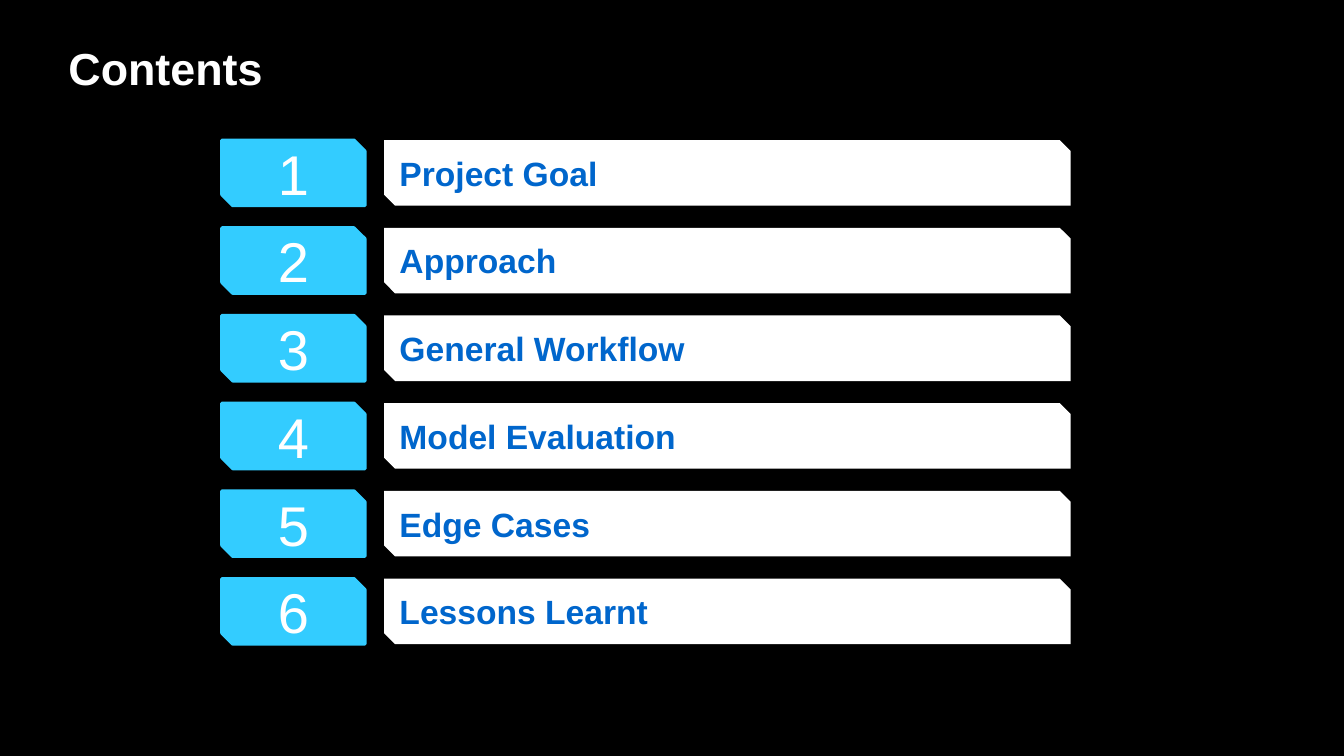
from dataclasses import dataclass

from pptx import Presentation
from pptx.dml.color import RGBColor
from pptx.enum.shapes import MSO_SHAPE
from pptx.enum.text import MSO_ANCHOR, PP_ALIGN
from pptx.util import Inches, Pt

SNIPPED = MSO_SHAPE.SNIP_2_DIAG_RECTANGLE
MIDDLE = MSO_ANCHOR.MIDDLE
LEFT = PP_ALIGN.LEFT
CENTER = PP_ALIGN.CENTER

TOPICS = [
    "Project Goal",
    "Approach",
    "General Workflow",
    "Model Evaluation",
    "Edge Cases",
    "Lessons Learnt",
]
FIRST_ROW_TOP = 1.39
ROW_PITCH = 0.87
ROW_HEIGHT = 0.65


@dataclass(frozen=True)
class Theme:
    font: str = "Arial"
    background: RGBColor = RGBColor.from_string("000000")
    white: RGBColor = RGBColor.from_string("FFFFFF")
    cyan: RGBColor = RGBColor.from_string("33CCFF")
    blue: RGBColor = RGBColor.from_string("0066CC")
    title_size: int = 32
    number_size: int = 40
    topic_size: int = 24
    outline_width: float = 2.25


class ContentsSlide:
    def __init__(self, presentation, theme):
        self.theme = theme
        self.slide = presentation.slides.add_slide(presentation.slide_layouts[6])
        fill = self.slide.background.fill
        fill.solid()
        fill.fore_color.rgb = theme.background

    def label(self, shape, text, size, color, bold, alignment):
        frame = shape.text_frame
        frame.text = text
        frame.word_wrap = True
        frame.vertical_anchor = MIDDLE
        paragraph = frame.paragraphs[0]
        paragraph.alignment = alignment
        font = paragraph.runs[0].font
        font.name = self.theme.font
        font.size = Pt(size)
        font.bold = bold
        font.color.rgb = color

    def title(self, text):
        shape = self.slide.shapes.add_textbox(
            Inches(0.58), Inches(0.28), Inches(12.18), Inches(0.79)
        )
        self.label(shape, text, self.theme.title_size, self.theme.white, True, LEFT)

    def snipped_box(self, left, top, width, fill_color):
        shape = self.slide.shapes.add_shape(
            SNIPPED, Inches(left), Inches(top), Inches(width), Inches(ROW_HEIGHT)
        )
        shape.shadow.inherit = False
        shape.fill.solid()
        shape.fill.fore_color.rgb = fill_color
        shape.line.fill.background()
        return shape

    def number(self, top, number):
        theme = self.theme
        shape = self.snipped_box(2.2, top, 1.42, theme.cyan)
        shape.line.color.rgb = theme.cyan
        shape.line.width = Pt(theme.outline_width)
        self.label(shape, str(number), theme.number_size, theme.white, False, CENTER)

    def topic(self, top, text):
        theme = self.theme
        shape = self.snipped_box(3.81, top, 6.81, theme.white)
        self.label(shape, text, theme.topic_size, theme.blue, True, LEFT)


def main():
    presentation = Presentation()
    presentation.slide_width = Inches(13.33)
    presentation.slide_height = Inches(7.5)
    contents = ContentsSlide(presentation, Theme())
    contents.title("Contents")
    for row, topic in enumerate(TOPICS):
        top = FIRST_ROW_TOP + row * ROW_PITCH
        contents.number(top, row + 1)
        contents.topic(top, topic)
    presentation.save("out.pptx")


if __name__ == "__main__":
    main()
